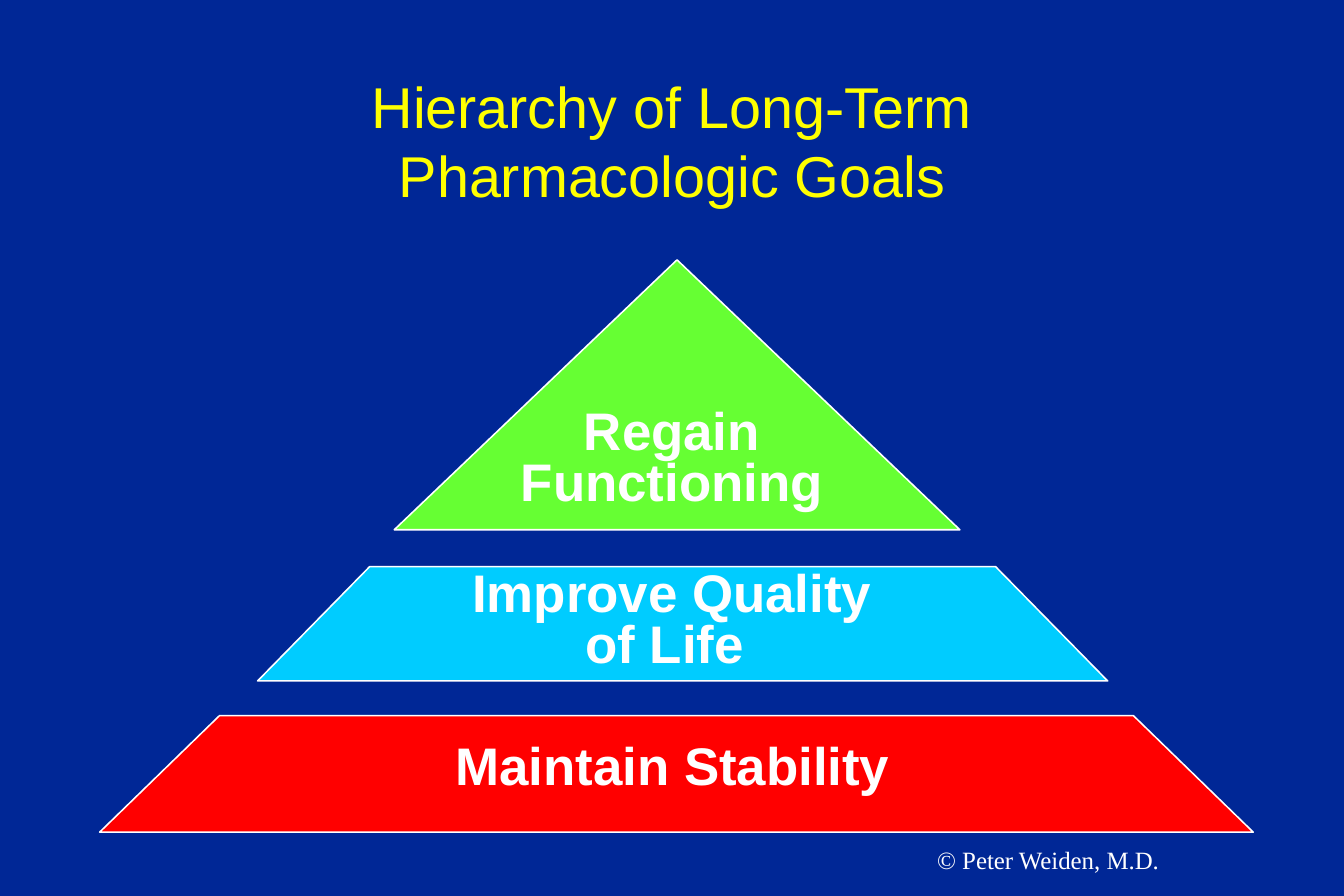
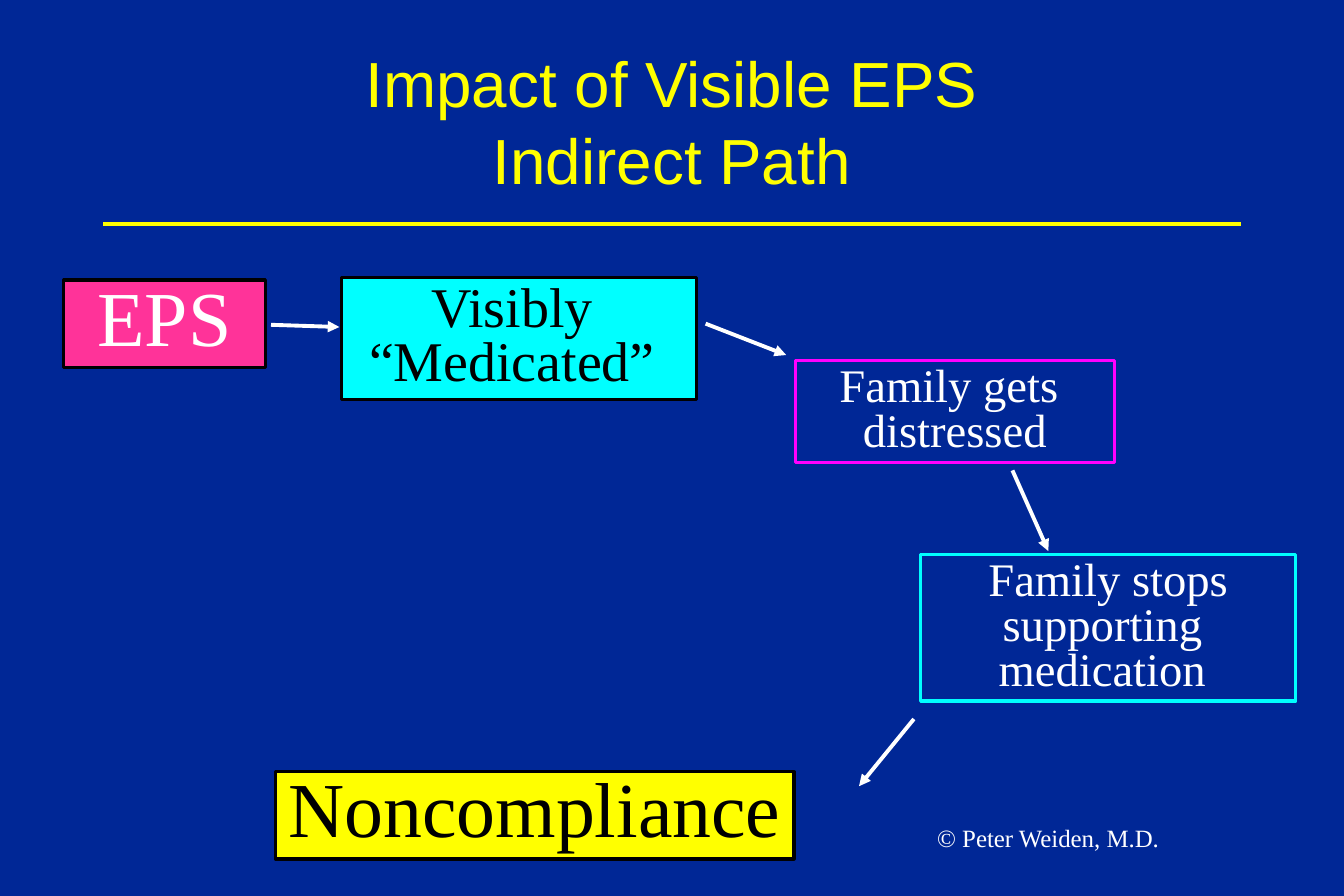
import pptx
import pptx.util
import pptx.dml.color
import pptx.enum.shapes
import pptx.enum.text
import lxml.etree
from pptx.util import Inches, Pt

COLORS = {
    "background": "002796", "yellow": "FFFF00", "white": "FFFFFF",
    "black": "000000", "green": "66FF33", "blue": "00CCFF", "red": "FF0000",
    "pink": "FF3399", "cyan": "00FFFF", "magenta": "FF00FF",
}
SANS, SERIF = "Arial", "Times New Roman"
TITLE_LEADING, TIGHT_LEADING = 1.2, 0.965
SHAPES = pptx.enum.shapes.MSO_SHAPE
A = "http://schemas.openxmlformats.org/drawingml/2006/main"


def rgb(name):
    return pptx.dml.color.RGBColor.from_string(COLORS[name])


def inches(*values):
    return [Inches(v) for v in values]


def write(sp, text, size, font, color, bold=False, leading=None,
          insets=(0.11, 0.06), wrap=True, centered=True):
    tf = sp.text_frame
    tf.word_wrap = wrap
    tf.auto_size = pptx.enum.text.MSO_AUTO_SIZE.NONE
    tf.vertical_anchor = pptx.enum.text.MSO_ANCHOR.TOP
    tf.margin_left = tf.margin_right = Inches(insets[0])
    tf.margin_top = tf.margin_bottom = Inches(insets[1])
    p = tf.paragraphs[0]
    p.text = text
    align = pptx.enum.text.PP_ALIGN
    p.alignment = align.CENTER if centered else align.LEFT
    p.space_before = Pt(0)
    if leading:
        p.line_spacing = Pt(round(size * leading, 1))
    p.font.size = Pt(size)
    p.font.name = font
    p.font.bold = bold
    p.font.color.rgb = rgb(color)


def style(sp, fill, line, width):
    sp.shadow.inherit = False
    if fill:
        sp.fill.solid()
        sp.fill.fore_color.rgb = rgb(fill)
    else:
        sp.fill.background()
    sp.line.color.rgb = rgb(line)
    sp.line.width = Pt(width)


def add_line(s, start, end, color, width, arrow=False):
    cx = s.shapes.add_connector(pptx.enum.shapes.MSO_CONNECTOR.STRAIGHT,
                                *inches(*start, *end))
    cx.line.color.rgb = rgb(color)
    cx.line.width = Pt(width)
    if arrow:
        ln = cx.line._get_or_add_ln()
        lxml.etree.SubElement(ln, f"{{{A}}}tailEnd", type="triangle")
    lxml.etree.SubElement(cx._element.spPr, f"{{{A}}}effectLst")


def add_titled_slide(prs, title, box, size, credit_top):
    s = prs.slides.add_slide(prs.slide_layouts[5])
    sp = s.shapes.title
    sp.left, sp.top, sp.width, sp.height = inches(*box)
    write(sp, title, size, SANS, "yellow", leading=TITLE_LEADING)
    credit = s.shapes.add_textbox(*inches(8.27, credit_top, 3.73, 0.37))
    write(credit, "© Peter Weiden, M.D.", 16, SERIF, "white",
          insets=(0.1, 0.05), centered=False)
    return s


def add_tier_label(s, text, box):
    sp = s.shapes.add_textbox(*inches(*box))
    write(sp, text, 34, SANS, "white", bold=True, leading=TIGHT_LEADING,
          insets=(0.11, 0.05))


def add_tier(s, box, slope, fill):
    """Trapezoid filling box, each side leaning inwards by slope."""
    x, y, w, h = box
    corners = [(x, y + h), (x + w, y + h), (x + w - slope, y), (x + slope, y)]
    points = [inches(*c) for c in corners]
    builder = s.shapes.build_freeform(*points[0], scale=1.0)
    builder.add_line_segments(points[1:], close=True)
    style(builder.convert_to_shape(), fill, "white", 1)


def build_hierarchy(prs):
    s = add_titled_slide(prs, "Hierarchy of Long-Term\vPharmacologic Goals",
                         (0.9, 0.57, 10.2, 1.51), 37, 7.49)
    # Pyramid from the top down
    peak = s.shapes.add_shape(SHAPES.ISOSCELES_TRIANGLE,
                              *inches(3.52, 2.32, 5.05, 2.41))
    style(peak, "green", "white", 1)
    add_tier(s, (2.3, 5.06, 7.59, 1.02), 1, "blue")
    add_tier(s, (0.89, 6.39, 10.3, 1.04), 1.07, "red")
    # Tier labels
    add_tier_label(s, "Regain\vFunctioning", (4.1, 3.61, 3.8, 1.01))
    add_tier_label(s, "Improve Quality of Life ", (4.1, 5.06, 3.8, 1.01))
    add_tier_label(s, "Maintain Stability", (3.11, 6.6, 5.79, 0.56))


def add_step(s, text, box, size, color, fill, line, wrap=True):
    sp = s.shapes.add_shape(SHAPES.RECTANGLE, *inches(*box))
    style(sp, fill, line, 2)
    write(sp, text, size, SERIF, color, leading=TIGHT_LEADING, wrap=wrap)


def build_indirect_path(prs):
    s = add_titled_slide(prs, "Impact of Visible EPS\vIndirect Path",
                         (0, 0.33, 12, 1.33), 41, 7.3)
    add_line(s, (0.92, 2), (11.08, 2), "yellow", 3)
    # Steps along the path
    add_step(s, "EPS", (0.57, 2.5, 1.8, 0.78), 50, "white", "pink", "black")
    add_step(s, "Visibly \v“Medicated” ", (3.05, 2.48, 3.17, 1.09), 36,
             "black", "cyan", "black")
    add_step(s, "Family gets \vdistressed", (7.1, 3.22, 2.85, 0.91), 30,
             "white", None, "magenta")
    add_step(s, "Family stops supporting \vmedication ",
             (8.22, 4.95, 3.35, 1.31), 30, "white", None, "cyan")
    add_step(s, "Noncompliance", (2.46, 6.89, 4.63, 0.78), 50,
             "black", "yellow", "black", wrap=False)
    # Arrows between steps
    for start, end in [((2.42, 2.9), (3.03, 2.92)),
                       ((6.3, 2.89), (7.02, 3.17)),
                       ((9.04, 4.2), (9.36, 4.92)),
                       ((8.16, 6.42), (7.67, 7.02))]:
        add_line(s, start, end, "white", 2.5, arrow=True)


def main():
    prs = pptx.Presentation()
    prs.slide_width, prs.slide_height = inches(12, 8)
    fill = prs.slide_master.background.fill
    fill.solid()
    fill.fore_color.rgb = rgb("background")
    build_hierarchy(prs)
    build_indirect_path(prs)
    prs.save("out.pptx")


if __name__ == "__main__":
    main()
